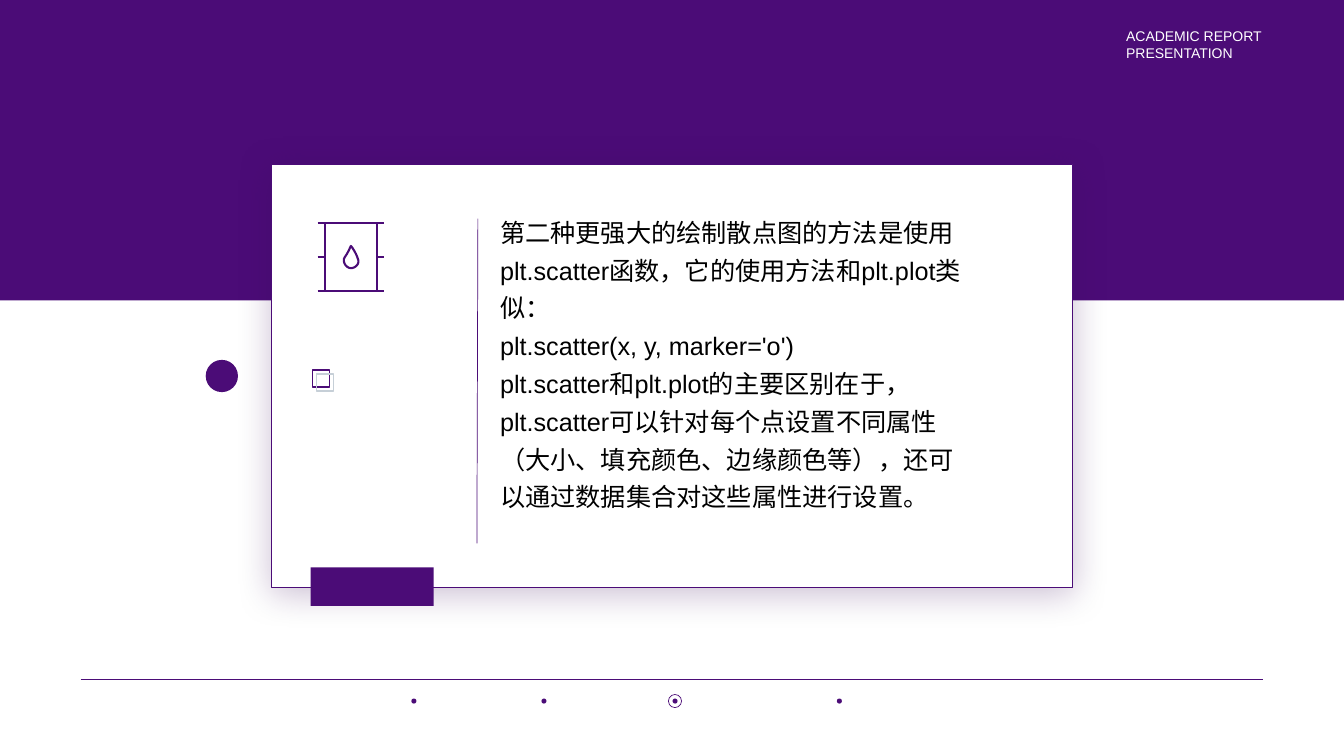
from lxml import etree
from pptx import Presentation
from pptx.dml.color import RGBColor
from pptx.enum.shapes import MSO_CONNECTOR, MSO_SHAPE
from pptx.enum.text import MSO_AUTO_SIZE
from pptx.oxml.ns import qn
from pptx.util import Inches, Pt

RECTANGLE, OVAL = MSO_SHAPE.RECTANGLE, MSO_SHAPE.OVAL
STRAIGHT = MSO_CONNECTOR.STRAIGHT
FIT_SHAPE, NO_FIT = MSO_AUTO_SIZE.SHAPE_TO_FIT_TEXT, MSO_AUTO_SIZE.NONE

HEADER = ["ACADEMIC REPORT", "PRESENTATION"]
BODY = [
    "第二种更强大的绘制散点图的方法是使用plt.scatter函数，它的使用方法和plt.plot类似：",
    "plt.scatter(x, y, marker='o')",
    "plt.scatter和plt.plot的主要区别在于，plt.scatter可以针对每个点设置不同属性"
    "（大小、填充颜色、边缘颜色等），还可以通过数据集合对这些属性进行设置。",
]
PAGE_DOTS = [4.08, 5.37, 6.67, 8.3]
CURRENT_DOT = 6.67

BARREL = {"left": 3.22, "right": 3.74, "top": 2.21, "bottom": 2.89, "rim": 0.07}
DROP_START = (3.42, 2.55)
DROP_CURVES = [
    ((3.45, 2.51), (3.47, 2.46), (3.48, 2.44)),
    ((3.5, 2.46), (3.54, 2.53), (3.55, 2.57)),
    ((3.57, 2.61), (3.53, 2.66), (3.48, 2.66)),
    ((3.43, 2.66), (3.39, 2.59), (3.42, 2.55)),
]

THEME = {
    "font": "Arial", "purple": "4B0C77", "white": "FFFFFF", "black": "000000",
    "grey": "C6CFD7", "shadow": "380959", "header_size": 10, "body_size": 18,
}


def color(name):
    return RGBColor.from_string(THEME[name])


def style(shape, fill=None, line=None, width=1):
    shape.shadow.inherit = False
    if fill:
        shape.fill.solid()
        shape.fill.fore_color.rgb = color(fill)
    else:
        shape.fill.background()
    if line:
        shape.line.color.rgb = color(line)
        shape.line.width = Pt(width)
    else:
        shape.line.fill.background()
    return shape


def add_preset(shapes, kind, at, **look):
    return style(shapes.add_shape(kind, *map(Inches, at)), **look)


def add_rule(shapes, start, end, width):
    rule = shapes.add_connector(STRAIGHT, *map(Inches, start + end))
    rule.line.color.rgb = color("purple")
    rule.line.width = Pt(width)
    etree.SubElement(rule._element.spPr, qn("a:effectLst"))


def add_text(shapes, at, lines, size, ink, spacing=1.0, wrap=True):
    box = shapes.add_textbox(*map(Inches, at))
    frame = box.text_frame
    frame.word_wrap = wrap
    frame.auto_size = FIT_SHAPE if wrap else NO_FIT
    frame.margin_left = frame.margin_right = 0
    frame.margin_top = frame.margin_bottom = 0
    for index, line in enumerate(lines):
        para = frame.paragraphs[0] if index == 0 else frame.add_paragraph()
        para.text = line
        para.line_spacing = spacing
        para.font.name = THEME["font"]
        para.font.size = Pt(THEME[size])
        para.font.color.rgb = color(ink)


def add_soft_shadow(shape):
    effects = shape._element.spPr.find(qn("a:effectLst"))
    shadow = etree.SubElement(
        effects, qn("a:outerShdw"), blurRad=str(Pt(26)), dist=str(Pt(4)),
        dir="5400000", algn="t", rotWithShape="0")
    tint = etree.SubElement(shadow, qn("a:srgbClr"), val=THEME["shadow"])
    etree.SubElement(tint, qn("a:alpha"), val="26000")


def trace_curves(start, curves, steps=8):
    """Return points along a chain of cubic Bezier curves."""
    points = [start]
    for curve in curves:
        corners = (points[-1],) + curve
        for step in range(1, steps + 1):
            t = step / steps
            weights = ((1 - t) ** 3, 3 * t * (1 - t) ** 2, 3 * t * t * (1 - t), t ** 3)
            points.append(tuple(
                sum(w * corner[axis] for w, corner in zip(weights, corners))
                for axis in (0, 1)))
    return points


def add_barrel_icon(shapes):
    icon = shapes.add_group_shape().shapes
    left, right, top, bottom, rim = BARREL.values()
    middle = (top + bottom) / 2
    add_preset(icon, RECTANGLE, (left, top, right - left, bottom - top),
               line="purple", width=1.5)
    points = [tuple(map(Inches, point)) for point in trace_curves(DROP_START, DROP_CURVES)]
    builder = icon.build_freeform(*points[0])
    builder.add_line_segments(points[1:-1], close=True)
    style(builder.convert_to_shape(), line="purple", width=1.5)
    for x1, x2, y in [
        (left - rim, right + rim, top), (left - rim, right + rim, bottom),
        (left - rim, left, middle), (right, right + rim, middle),
    ]:
        add_rule(icon, (x1, y), (x2, y), 1.5)


def main():
    deck = Presentation()
    deck.slide_width, deck.slide_height = Inches(13.33), Inches(7.5)
    page = deck.slides.add_slide(deck.slide_layouts[6])
    shapes = page.shapes

    add_preset(shapes, RECTANGLE, (0, 0, 13.33, 2.98), fill="purple")
    add_text(shapes, (11.17, 0.27, 1.36, 0.34), HEADER, "header_size", "white", wrap=False)
    add_rule(shapes, (0.8, 6.74), (12.53, 6.74), 0.5)

    card = add_preset(shapes, RECTANGLE, (2.69, 1.63, 7.95, 4.2), fill="white", line="purple")
    add_soft_shadow(card)
    add_preset(shapes, RECTANGLE, (3.08, 5.63, 1.22, 0.38), fill="purple")
    add_barrel_icon(shapes)
    for offset, ink in ((0, "purple"), (0.04, "grey")):
        add_preset(shapes, RECTANGLE, (3.1 + offset, 3.67 + offset, 0.17, 0.17), line=ink)
    add_rule(shapes, (4.74, 2.17), (4.73, 5.39), 0.5)
    add_text(shapes, (4.96, 2.08, 4.73, 3.41), BODY, "body_size", "black", spacing=1.25)

    add_preset(shapes, OVAL, (2.04, 3.57, 0.32, 0.32), fill="purple")
    for left in PAGE_DOTS:
        add_preset(shapes, OVAL, (left, 6.93, 0.05, 0.05), fill="purple")
    add_preset(shapes, OVAL, (CURRENT_DOT - 0.04, 6.89, 0.13, 0.13), line="purple", width=0.5)

    deck.save("out.pptx")


if __name__ == "__main__":
    main()
